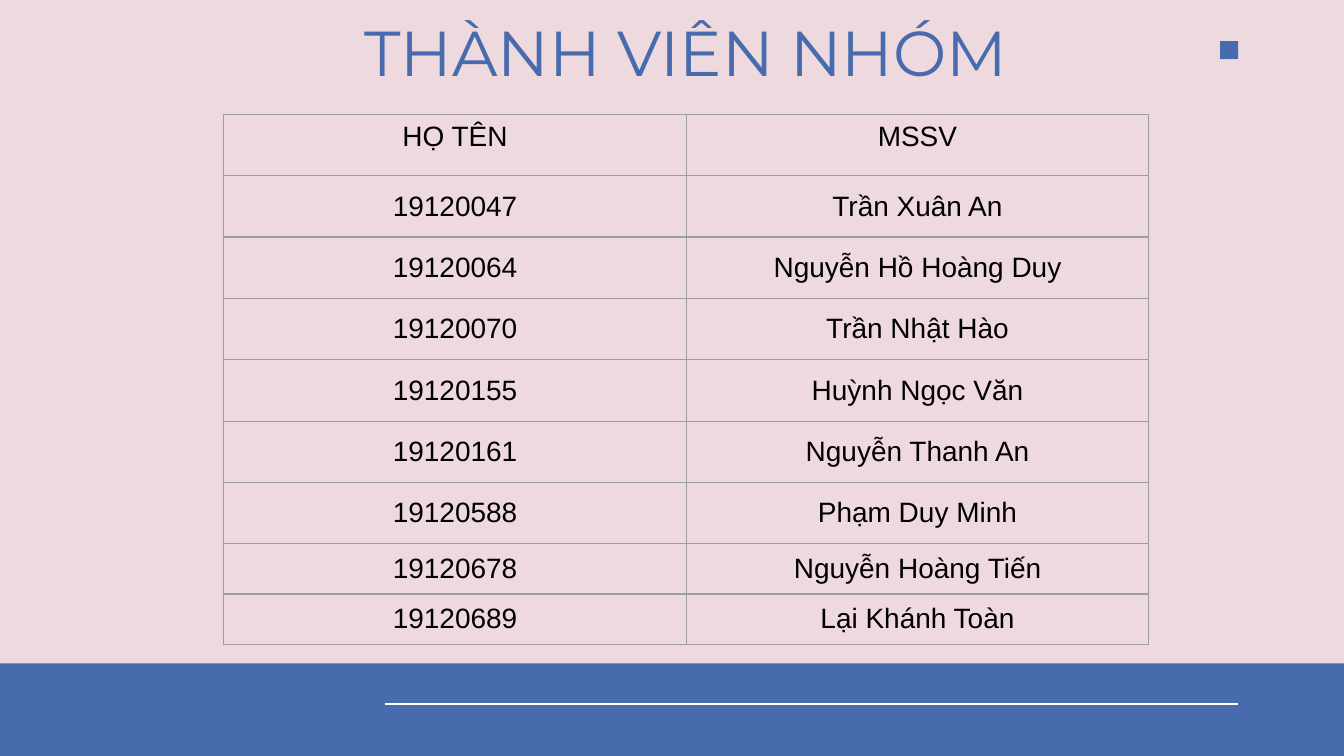
from dataclasses import dataclass

from lxml.etree import SubElement
from pptx import Presentation
from pptx.dml.color import RGBColor
from pptx.enum.shapes import MSO_CONNECTOR, MSO_SHAPE
from pptx.enum.text import MSO_ANCHOR, MSO_AUTO_SIZE, PP_ALIGN
from pptx.oxml.ns import qn
from pptx.slide import Slide
from pptx.table import _Cell
from pptx.text.text import TextFrame
from pptx.util import Cm, Pt

PINK = RGBColor(0xEE, 0xD9, 0xDE)
BLUE = RGBColor(0x47, 0x6B, 0xAC)
WHITE = RGBColor(0xFF, 0xFF, 0xFF)
BLACK = RGBColor(0, 0, 0)
GRAY = RGBColor(0x9E, 0x9E, 0x9E)

TITLE_FONT = {"name": "Montserrat", "size": Pt(34), "bold": False}
CELL_FONT = {"name": "Arial", "size": Pt(15), "bold": False}
SIDES = ("left", "top", "right", "bottom")


@dataclass
class Block:
    left: float
    top: float
    width: float
    height: float


@dataclass
class Member:
    code: str
    name: str


BLOCKS = [Block(23.06, 0.78, 0.34, 0.34), Block(0, 12.54, 25.4, 1.75)]
HEADER = ("HỌ TÊN", "MSSV")
MEMBERS = [
    Member("19120047", "Trần Xuân An"),
    Member("19120064", "Nguyễn Hồ Hoàng Duy"),
    Member("19120070", "Trần Nhật Hào"),
    Member("19120155", "Huỳnh Ngọc Văn"),
    Member("19120161", "Nguyễn Thanh An"),
    Member("19120588", "Phạm Duy Minh"),
    Member("19120678", "Nguyễn Hoàng Tiến"),
    Member("19120689", "Lại Khánh Toàn"),
]
ROW_HEIGHTS = [1.16] * 7 + [0.58] * 2


def apply(target: object, values: dict) -> None:
    for key, value in values.items():
        setattr(target, key, value)


def margins(x: float, y: float) -> dict:
    return {f"margin_{side}": Cm(x if side in ("left", "right") else y) for side in SIDES}


def write(tf: TextFrame, text: str, font: dict, color: RGBColor) -> None:
    p = tf.paragraphs[0]
    p.alignment = PP_ALIGN.CENTER
    r = p.add_run()
    r.text = text
    apply(r.font, font)
    r.font.color.rgb = color


def draw_block(s: Slide, block: Block) -> None:
    sp = s.shapes.add_shape(
        MSO_SHAPE.RECTANGLE, Cm(block.left), Cm(block.top), Cm(block.width), Cm(block.height)
    )
    sp.shadow.inherit = False
    sp.fill.solid()
    sp.fill.fore_color.rgb = BLUE
    sp.line.fill.background()


def draw_footer_line(s: Slide) -> None:
    line = s.shapes.add_connector(
        MSO_CONNECTOR.STRAIGHT, Cm(7.27), Cm(13.31), Cm(23.39), Cm(13.31)
    )
    line.line.color.rgb = WHITE
    line.line.width = Pt(0.75)
    SubElement(line._element.spPr, qn("a:effectLst"))


def draw_title(s: Slide, text: str) -> None:
    title = s.shapes.title
    apply(title, {"left": Cm(2.26), "top": Cm(0), "width": Cm(21.41), "height": Cm(1.6)})
    tf = title.text_frame
    apply(tf, {
        **margins(0.25, 0.25),
        "word_wrap": True,
        "auto_size": MSO_AUTO_SIZE.NONE,
        "vertical_anchor": MSO_ANCHOR.TOP,
    })
    write(tf, text, TITLE_FONT, BLUE)


def draw_borders(cell: _Cell) -> None:
    tc_pr = cell._tc.get_or_add_tcPr()
    for tag in ("a:lnL", "a:lnR", "a:lnT", "a:lnB"):
        ln = SubElement(tc_pr, qn(tag), w=str(Pt(0.75)))
        fill = SubElement(ln, qn("a:solidFill"))
        SubElement(fill, qn("a:srgbClr"), val=str(GRAY))


def draw_cell(cell: _Cell, text: str, is_header: bool) -> None:
    draw_borders(cell)
    cell.fill.background()
    apply(cell, margins(0.25, 0.13) if is_header else margins(0.18, 0.18))
    cell.vertical_anchor = MSO_ANCHOR.TOP if is_header else MSO_ANCHOR.MIDDLE
    write(cell.text_frame, text, CELL_FONT, BLACK)


def draw_members(s: Slide) -> None:
    rows = [HEADER] + [(m.code, m.name) for m in MEMBERS]
    table = s.shapes.add_table(
        len(rows), len(HEADER), Cm(4.23), Cm(2.16), Cm(17.48), Cm(sum(ROW_HEIGHTS))
    ).table
    apply(table, {"first_row": False, "horz_banding": False})
    for i, (texts, height) in enumerate(zip(rows, ROW_HEIGHTS)):
        table.rows[i].height = Cm(height)
        for j, text in enumerate(texts):
            draw_cell(table.cell(i, j), text, i == 0)


def main() -> None:
    prs = Presentation()
    apply(prs, {"slide_width": Cm(25.4), "slide_height": Cm(14.29)})
    s = prs.slides.add_slide(prs.slide_layouts[5])
    s.background.fill.solid()
    s.background.fill.fore_color.rgb = PINK
    for block in BLOCKS:
        draw_block(s, block)
    draw_footer_line(s)
    draw_title(s, "THÀNH VIÊN NHÓM")
    draw_members(s)
    prs.save("out.pptx")


if __name__ == "__main__":
    main()
